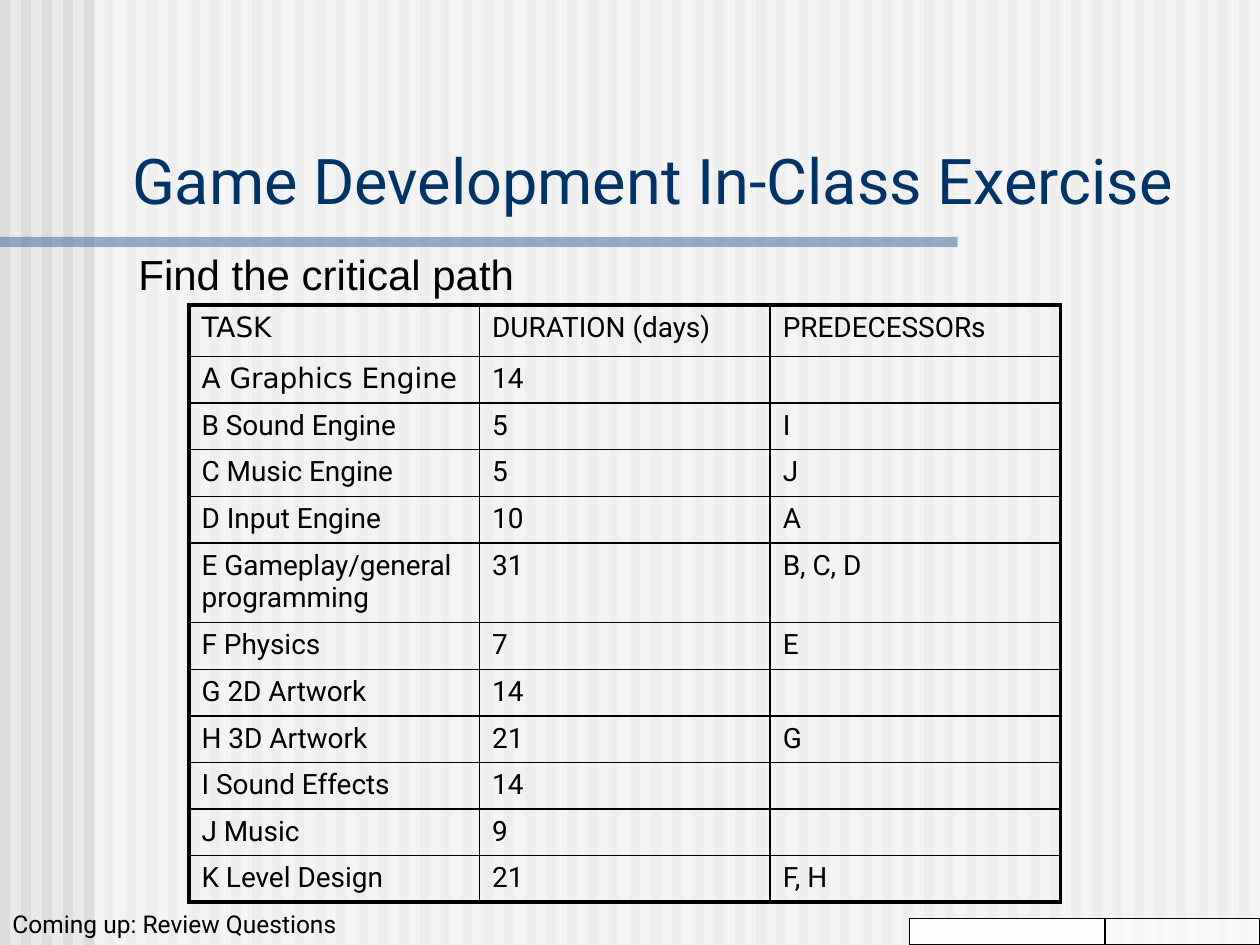
from lxml.etree import SubElement as Sub
from pptx import Presentation as Deck
from pptx.dml.color import RGBColor as Color
from pptx.enum.shapes import MSO_SHAPE as Shape
from pptx.enum.text import MSO_ANCHOR as Anchor
from pptx.oxml.ns import qn
from pptx.util import Inches, Pt

TASKS = [
    ("TASK", "DURATION (days)", "PREDECESSORs"),
    ("A Graphics Engine", "14", ""),
    ("B Sound Engine", "5", "I"),
    ("C Music Engine", "5", "J"),
    ("D Input Engine", "10", "A"),
    ("E Gameplay/general programming", "31", "B, C, D"),
    ("F Physics", "7", "E"),
    ("G 2D Artwork", "14", ""),
    ("H 3D Artwork", "21", "G"),
    ("I Sound Effects", "14", ""),
    ("J Music", "9", ""),
    ("K Level Design", "21", "F, H"),
]
TALL = {0: 0.41, 5: 0.63}


def paint(fill, tone, alpha=100):
    """Give a fill a solid hex colour with an opacity in percent."""
    fill.solid()
    fill.fore_color.rgb = Color.from_string(tone)
    if alpha < 100:
        node = fill.fore_color._xFill.find(qn("a:srgbClr"))
        Sub(node, qn("a:alpha"), val=str(alpha * 1000))


def style(run, size, face="Roboto", tone="000000"):
    """Set the size, font and colour of a run."""
    run.font.size = Pt(size)
    run.font.name = face
    paint(run.font.fill, tone)


def add_bar(slide, box, tone, alpha=100, edge=None):
    """Place a plain rectangle, with a thin outline if edge is given."""
    bar = slide.shapes.add_shape(Shape.RECTANGLE, *map(Inches, box))
    bar.shadow.inherit = False
    paint(bar.fill, tone, alpha)
    if edge:
        paint(bar.line.fill, edge)
        bar.line.width = Pt(0.75)
    else:
        bar.line.fill.background()


def add_label(slide, box, text, size, face="Roboto", tone="000000", anchor=Anchor.TOP):
    """Place one line of text in a box."""
    frame = slide.shapes.add_textbox(*map(Inches, box)).text_frame
    frame.word_wrap = True
    frame.vertical_anchor = anchor
    frame.text = text
    style(frame.paragraphs[0].runs[0], size, face, tone)


def add_stripes(slide, box):
    """Fill a box with evenly spaced stripes, six to the inch."""
    left, top, width, height = box
    for i in range(round(width * 6)):
        add_bar(slide, (left + i / 6, top, 0.08, height), "DDDDDD")


def add_border(cell, side, width):
    """Draw one black border of a cell."""
    line = Sub(cell._tc.get_or_add_tcPr(), qn(f"a:ln{side}"), w=str(Pt(width)))
    Sub(Sub(line, qn("a:solidFill")), qn("a:srgbClr"), val="000000")


def fill_cell(cell, text, size, face):
    """Write a cell, keeping an empty one at the same text size."""
    cell.text_frame.text = text
    para = cell.text_frame.paragraphs[0]
    if text:
        style(para.runs[0], size, face)
    else:
        end = Sub(para._p, qn("a:endParaRPr"), sz=str(size * 100))
        Sub(end, qn("a:latin"), typeface=face)


def add_tasks(slide, box):
    """Place the task table with a heavy outer frame."""
    rows, cols = len(TASKS), len(TASKS[0])
    table = slide.shapes.add_table(rows, cols, *map(Inches, box)).table
    table.first_row = table.horz_banding = False
    for col in table.columns:
        col.width = Inches(box[2] / cols)
    for r, texts in enumerate(TASKS):
        table.rows[r].height = Inches(TALL.get(r, 0.37))
        for c, text in enumerate(texts):
            cell = table.cell(r, c)
            fill_cell(cell, text, 16, "DejaVu Sans" if c == 0 and r < 2 else "Roboto")
            outer = {"L": c == 0, "R": c == cols - 1, "T": r == 0, "B": r == rows - 1}
            for side, heavy in outer.items():
                add_border(cell, side, 2.25 if heavy else 1)
            cell.fill.background()


def add_back(slide, box):
    """Place the striped backdrop, its pale veil and the title rule."""
    left, top, width, height = box
    paint(slide.background.fill, "EAEAEA")
    add_stripes(slide, box)
    add_bar(slide, (left + 0.75, top, width - 0.75, height), "FFFFFF", 50)
    add_bar(slide, (left, top + 1.88, 7.6, 0.08), "336699", 50)


def add_foot(slide, box):
    """Place the coming-up note and the two progress boxes."""
    left, top, width, height = box
    add_label(slide, (left, top, 6.58, height), "Coming up: Review Questions", 14,
              anchor=Anchor.BOTTOM)
    low = top + height - 0.21
    add_bar(slide, (left + 7.22, low, 1.55, 0.21), "FFFFFF", 90, "000000")
    add_bar(slide, (left + width - 1.23, low, 1.23, 0.21), "FFFFFF", 50, "000000")


def main():
    """Build the exercise slide."""
    deck = Deck()
    deck.slide_width, deck.slide_height = Inches(10), Inches(7.5)
    slide = deck.slides.add_slide(deck.slide_layouts[6])
    add_back(slide, (0, 0, 10, 7.5))
    add_label(slide, (0.95, 0.58, 8.93, 1.19), "Game Development In-Class Exercise", 36,
              tone="003366", anchor=Anchor.BOTTOM)
    add_tasks(slide, (1.5, 2.42, 6.92, 4.71))
    add_label(slide, (1, 1.92, 7.25, 0.5), "Find the critical path", 24, "Arial")
    add_foot(slide, (0, 7.17, 10, 0.33))
    deck.save("out.pptx")


if __name__ == "__main__":
    main()
